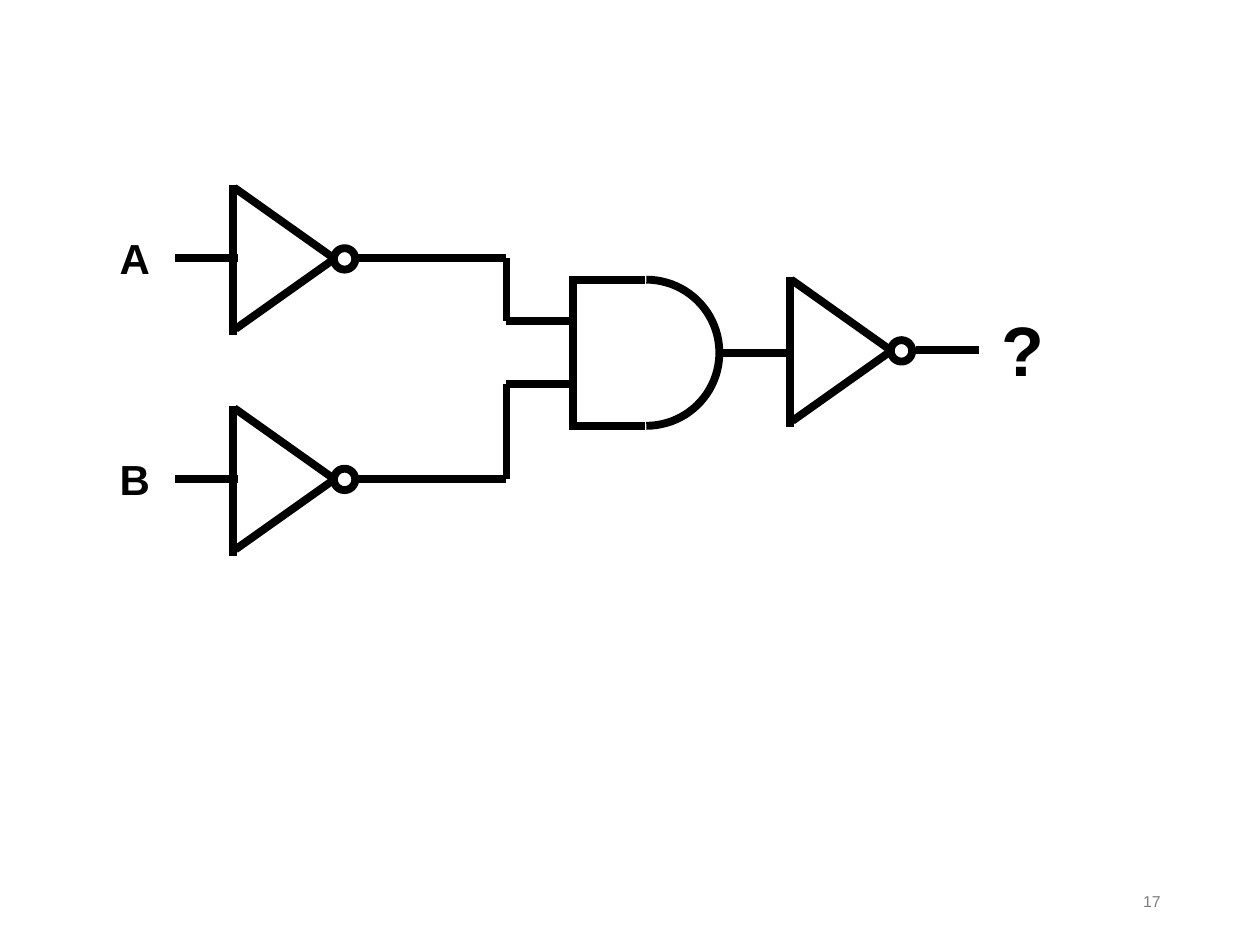
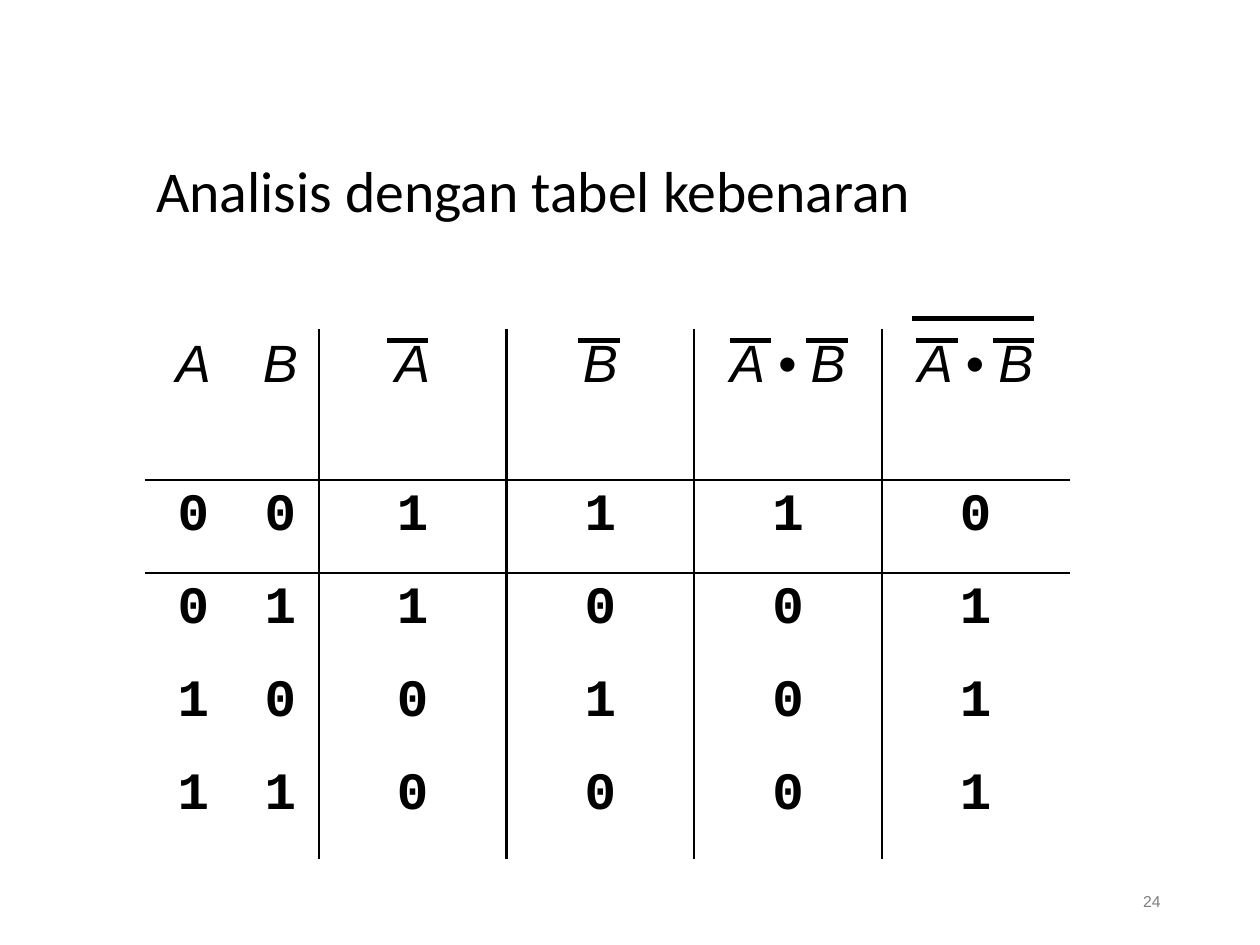
import math

from lxml import etree
from pptx import Presentation
from pptx import util as u
from pptx.dml.color import RGBColor
from pptx.enum import shapes, text
from pptx.oxml import ns

BLACK, GREY = "000000", "7F7F7F"
WIRE, OVERBAR, GRID = 4.5, 3, 1.47
ALIGN = text.PP_ALIGN
NO_STYLE = "{2D5ABB26-0587-4C30-8999-92F81FD0307C}"


def colour(value):
    return RGBColor.from_string(value)


def set_font(para, name, size, value=BLACK, bold=False, italic=False):
    font = para.font
    font.name, font.size = name, u.Pt(size)
    font.bold, font.italic = bold, italic
    font.color.rgb = colour(value)


def add_line(holder, start, end, width=WIRE):
    line = holder.shapes.add_connector(
        shapes.MSO_CONNECTOR.STRAIGHT, *map(u.Inches, (*start, *end)))
    line.line.color.rgb = colour(BLACK)
    line.line.width = u.Pt(width)
    etree.SubElement(line._element.spPr, ns.qn("a:effectLst"))


def outline(shape):
    shape.shadow.inherit = False
    shape.fill.background()
    shape.line.color.rgb = colour(BLACK)
    shape.line.width = u.Pt(WIRE)


def add_text(page, box, words, align, anchor=text.MSO_ANCHOR.TOP, wrap=True):
    frame = page.shapes.add_textbox(*map(u.Inches, box)).text_frame
    frame.word_wrap = wrap
    frame.vertical_anchor = anchor
    if not wrap:
        frame.auto_size = text.MSO_AUTO_SIZE.SHAPE_TO_FIT_TEXT
    para = frame.paragraphs[0]
    para.text = words
    para.alignment = align
    return para


def add_label(page, box, words, size):
    para = add_text(page, box, words, ALIGN.CENTER, wrap=False)
    set_font(para, "Arial", size, bold=True)


def add_page_number(page, number):
    para = add_text(page, (7.06, 6.95, 2.25, 0.4), number, ALIGN.RIGHT,
                    text.MSO_ANCHOR.MIDDLE)
    set_font(para, "Arial", 9, GREY)


def add_title(page, words):
    para = add_text(page, (1.14, 0.91, 9, 1.25), words, ALIGN.LEFT,
                    text.MSO_ANCHOR.MIDDLE)
    para.line_spacing = 0.9
    indent = u.Inches(0.35)
    props = para._p.get_or_add_pPr()
    props.set("marL", str(indent))
    props.set("indent", str(-indent))
    set_font(para, "Calibri", 33)


# Logic gates, placed from their top left corner
def add_inverter(page, left, top):
    gate = page.shapes.add_group_shape()
    for x1, y1, x2, y2 in ((0, 1.19, 0, 0), (0.01, 0.02, 0.8, 0.58),
                           (0.02, 1.14, 0.81, 0.58)):
        add_line(gate, (left + x1, top + y1), (left + x2, top + y2))
    bubble = gate.shapes.add_shape(
        shapes.MSO_SHAPE.OVAL,
        *map(u.Inches, (left + 0.8, top + 0.5, 0.17, 0.17)))
    outline(bubble)


def add_and_gate(page, left, top):
    gate = page.shapes.add_group_shape()
    radius, centre = 0.58, left + 0.61
    points = [(u.Inches(centre + radius * math.cos(math.radians(angle))),
               u.Inches(top + radius + radius * math.sin(math.radians(angle))))
              for angle in range(-90, 91, 4)]
    bow = gate.shapes.build_freeform(*points[0])
    bow.add_line_segments(points[1:], close=False)
    outline(bow.convert_to_shape())
    for y in (top + 2 * radius, top):
        add_line(gate, (left, y), (left + 0.6, y))
    add_line(gate, (left + 0.03, top + 1.19), (left + 0.03, top))


def add_input(page, name, middle, entry):
    """Input label, inverter and wire that steps to the AND gate."""
    add_label(page, (0.85, middle - 0.25, 0.44, 0.5), name, 24)
    add_line(page, (1.89, middle), (1.39, middle))
    add_inverter(page, 1.85, middle - 0.58)
    bend = 4.02
    add_line(page, (bend, middle), (2.84, middle))
    add_line(page, (bend, middle), (bend, entry))
    add_line(page, (4.54, entry), (bend, entry))


def circuit_slide(page):
    add_page_number(page, "17")
    add_input(page, "A", 2.05, 2.55)
    add_input(page, "B", 3.8, 3.05)
    add_and_gate(page, 4.52, 2.22)
    add_line(page, (6.24, 2.8), (5.74, 2.8))
    add_inverter(page, 6.27, 2.2)
    add_line(page, (7.77, 2.78), (7.27, 2.78))
    add_label(page, (7.85, 2.38, 0.54, 0.77), "?", 40)


# Truth table
def set_borders(cell, sides):
    props = cell._tc.get_or_add_tcPr()
    for side in sides:
        edge = etree.SubElement(props, ns.qn("a:ln" + side),
                                w=str(u.Pt(GRID)))
        fill = etree.SubElement(edge, ns.qn("a:solidFill"))
        etree.SubElement(fill, ns.qn("a:srgbClr"), val=BLACK)


def add_truth_table(page, left, top):
    rows = [["A", "B", "A", "B", "A • B", "A • B"],
            "001110", "011001", "100101", "110001"]
    widths = [0.77, 0.61] + [1.49] * 4
    heights = [1.2] + [0.74] * 3 + [0.79]
    table = page.shapes.add_table(
        len(rows), len(widths),
        *map(u.Inches, (left, top, sum(widths), sum(heights)))).table
    table.first_row = table.horz_banding = False
    table._tbl.tblPr.find(ns.qn("a:tableStyleId")).text = NO_STYLE
    for column, width in zip(table.columns, widths):
        column.width = u.Inches(width)
    for r, (values, height) in enumerate(zip(rows, heights)):
        table.rows[r].height = u.Inches(height)
        for c, value in enumerate(values):
            cell = table.cell(r, c)
            set_borders(cell, [side for side, shown in (
                ("L", c >= 2), ("R", 1 <= c <= 4),
                ("T", r == 1), ("B", r == 0)) if shown])
            cell.fill.background()
            para = cell.text_frame.paragraphs[0]
            para.text = value
            para.alignment = ALIGN.CENTER
            para.space_before = u.Pt(7.5)
            header = r == 0
            set_font(para, "Arial" if header else "Courier New", 30,
                     bold=not header, italic=header)


def add_overbars(page, left, top):
    """Negation bars over the table's header letters."""
    for x in (1.92, 3.44, 4.64, 5.25, 6.12, 6.73):
        add_line(page, (left + x, top + 0.09), (left + x + 0.33, top + 0.09),
                 OVERBAR)
    for start, end in ((6.13, 6.46), (6.09, 7.06)):
        add_line(page, (left + start, top - 0.08), (left + end, top - 0.08),
                 OVERBAR)


def table_slide(page):
    add_title(page, "Analisis dengan tabel kebenaran")
    add_page_number(page, "24")
    corner = 1.15, 2.61
    add_truth_table(page, *corner)
    add_overbars(page, *corner)


def main():
    deck = Presentation()
    deck.slide_width, deck.slide_height = u.Inches(10), u.Inches(7.5)
    for build in (circuit_slide, table_slide):
        build(deck.slides.add_slide(deck.slide_layouts[6]))
    deck.save("out.pptx")


if __name__ == "__main__":
    main()
